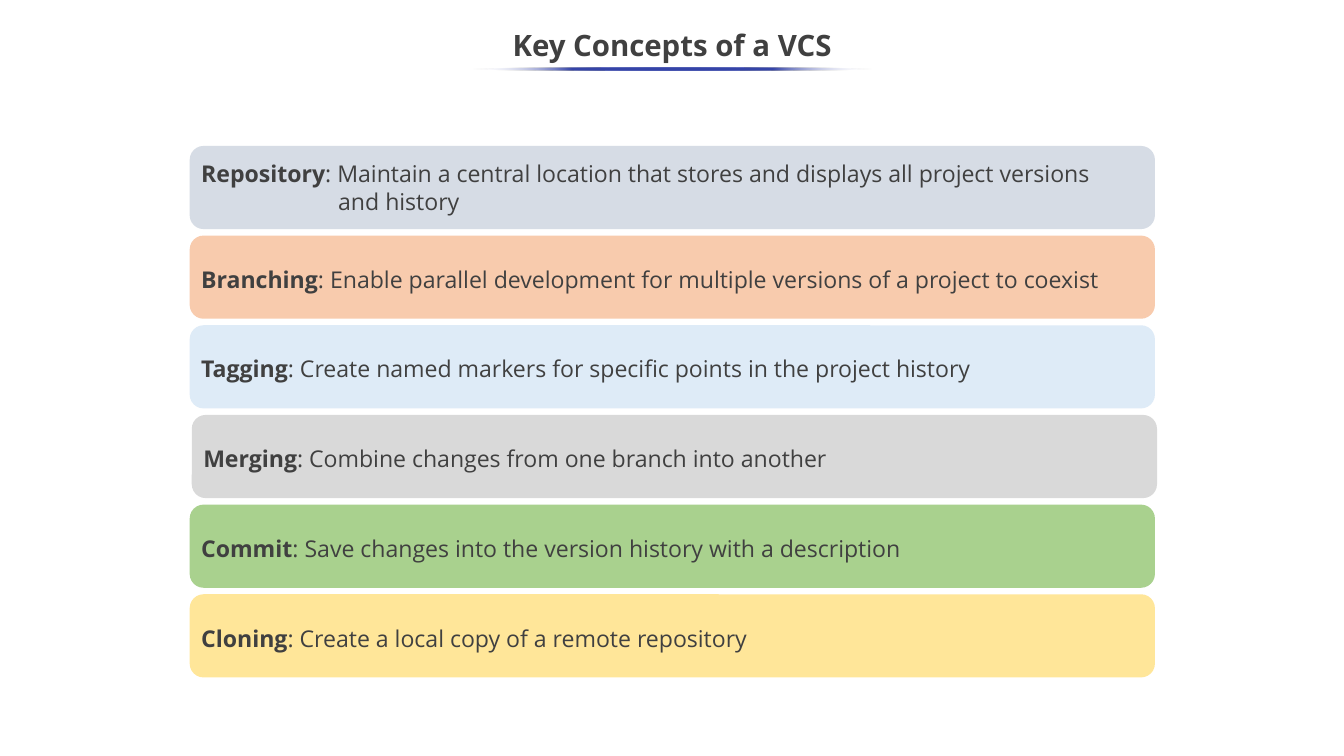
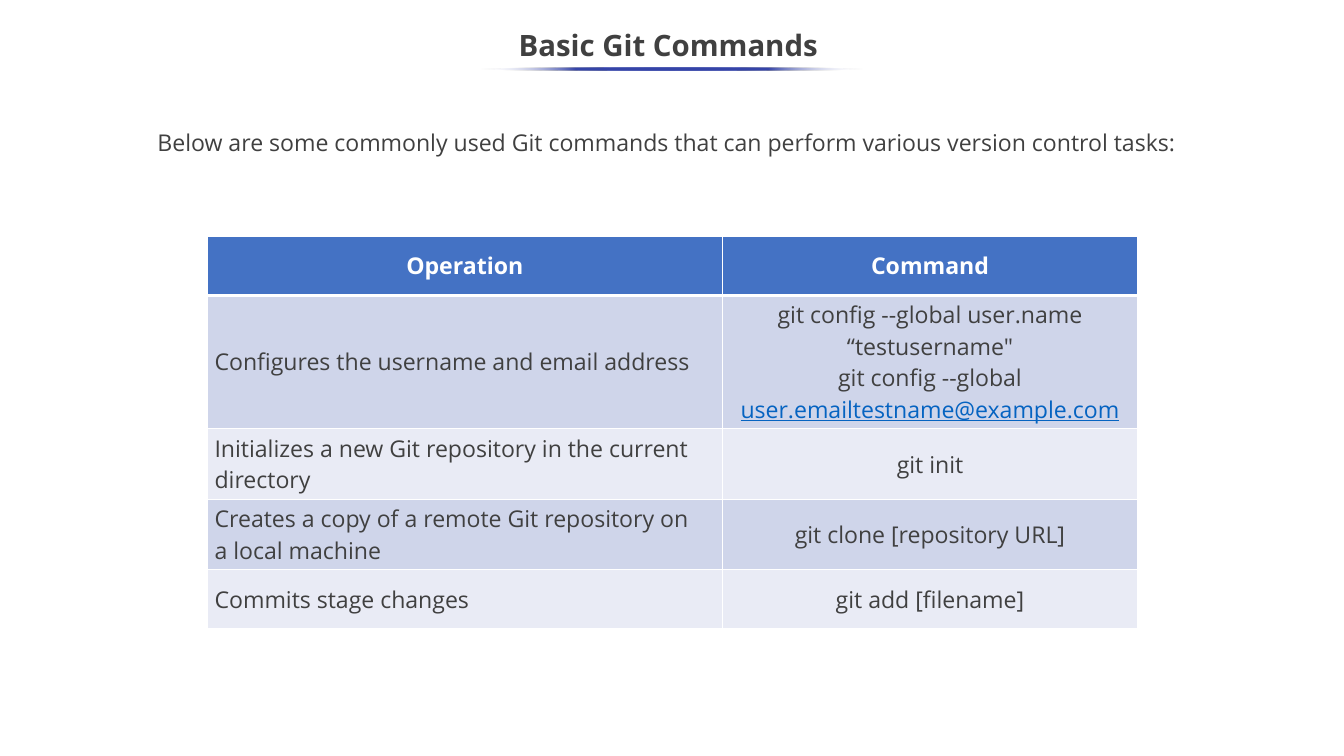
from pptx import Presentation
from pptx import util as u
from pptx.dml.color import RGBColor
from pptx.enum import shapes, text
from pptx.oxml import parse_xml
from pptx.oxml.ns import nsdecls

Pt = u.Pt
FONT = "Open Sans"
INK = RGBColor(0x40, 0x40, 0x40)
WHITE = RGBColor(0xFF, 0xFF, 0xFF)
INDIGO = RGBColor(0x36, 0x45, 0xA9)
HEADER_BLUE = RGBColor(0x44, 0x72, 0xC4)
BAND_DARK = RGBColor(0xCF, 0xD5, 0xEA)
BAND_LIGHT = RGBColor(0xE9, 0xEB, 0xF5)
LINK_BLUE = RGBColor(0x05, 0x63, 0xC1)
SLATE = RGBColor(0xD6, 0xDC, 0xE5)
PEACH = RGBColor(0xF8, 0xCB, 0xAD)
SKY = RGBColor(0xDE, 0xEB, 0xF7)
GREY = RGBColor(0xD9, 0xD9, 0xD9)
GREEN = RGBColor(0xA9, 0xD1, 0x8E)
YELLOW = RGBColor(0xFF, 0xE6, 0x99)

PAGE_WIDTH, PAGE_HEIGHT = 1280.16, 720
LEFT, CENTER = text.PP_ALIGN.LEFT, text.PP_ALIGN.CENTER
MIDDLE, TOP = text.MSO_ANCHOR.MIDDLE, text.MSO_ANCHOR.TOP

CONCEPTS = [
    ("Repository", "Maintain a central location that stores and displays all project versions", SLATE),
    ("Branching", "Enable parallel development for multiple versions of a project to coexist", PEACH),
    ("Tagging", "Create named markers for specific points in the project history", SKY),
    ("Merging", "Combine changes from one branch into another", GREY),
    ("Commit", "Save changes into the version history with a description", GREEN),
    ("Cloning", "Create a local copy of a remote repository", YELLOW),
]
BAR_LEFT, BAR_TOP, BAR_WIDTH, BAR_HEIGHT, BAR_PITCH = 180.7, 139, 919.4, 79.2, 85.4
MERGING_SHIFT = 2
SECOND_LINE_INDENT = 130.5

COMMANDS = [
    (["Configures the username and email address"],
     ["git config --global user.name “testusername\"",
      [("git config --global ", {}),
       ("user.emailtestname@example.com", {"color": LINK_BLUE, "underline": True})]]),
    (["Initializes a new Git repository in the current directory"], ["git init"]),
    (["Creates a copy of a remote Git repository on", "a local machine"],
     ["git clone [repository URL]"]),
    (["Commits stage changes"], ["git add [filename]"]),
]
COLUMN_WIDTHS = [491, 395.3]
ROW_HEIGHTS = [56.2, 127.2, 67.2, 67.2, 56.2]


def write_text(frame, paragraphs, size=22, color=INK, bold=False, align=LEFT, spacing=1.0):
    for index, content in enumerate(paragraphs):
        para = frame.add_paragraph() if index else frame.paragraphs[0]
        para.alignment = align
        para.line_spacing = spacing
        spans = [(content, {})] if isinstance(content, str) else content
        for words, changes in spans:
            span = para.add_run()
            span.text = words
            font = span.font
            font.name, font.size = FONT, Pt(size)
            font.bold = changes.get("bold", bold)
            font.underline = changes.get("underline", False)
            font.color.rgb = changes.get("color", color)


def add_text(page, place, paragraphs, anchor=TOP, inset=0, **style):
    box = page.shapes.add_textbox(*map(Pt, place))
    frame = box.text_frame
    frame.word_wrap = True
    frame.vertical_anchor = anchor
    frame.margin_top = frame.margin_bottom = Pt(inset)
    write_text(frame, paragraphs, **style)


def add_preset(page, preset, place):
    shape = page.shapes.add_shape(preset, *map(Pt, place))
    shape.shadow.inherit = False
    shape.line.fill.background()
    return shape


def add_underline(page, width):
    place = ((PAGE_WIDTH - width) / 2, 64.3, width, 2.9)
    line = add_preset(page, shapes.MSO_SHAPE.OVAL, place)
    stops = [(0, WHITE, 0), (25, INDIGO, 100), (50, INDIGO, 100), (75, INDIGO, 100), (100, WHITE, 0)]
    stop_xml = "".join(
        f'<a:gs pos="{position * 1000}"><a:srgbClr val="{color}">'
        f'<a:alpha val="{opacity * 1000}"/></a:srgbClr></a:gs>'
        for position, color, opacity in stops)
    gradient = parse_xml(
        f'<a:gradFill {nsdecls("a")} rotWithShape="1"><a:gsLst>{stop_xml}</a:gsLst>'
        '<a:lin ang="10800000" scaled="0"/></a:gradFill>')
    line.fill.background()
    properties = line.element.spPr
    properties.replace(properties.find("{*}noFill"), gradient)


def add_titled_page(deck, title, underline_width):
    page = deck.slides.add_slide(deck.slide_layouts[6])
    add_text(page, (0, 18, PAGE_WIDTH, 54), [title], anchor=MIDDLE, inset=3.6,
             size=28, bold=True, align=CENTER, spacing=0.9)
    add_underline(page, underline_width)
    return page


def add_bar(page, left, top, color, paragraphs, spacing):
    bar = add_preset(page, shapes.MSO_SHAPE.ROUNDED_RECTANGLE, (left, top, BAR_WIDTH, BAR_HEIGHT))
    bar.fill.solid()
    bar.fill.fore_color.rgb = color
    frame = bar.text_frame
    frame.word_wrap = True
    frame.vertical_anchor = MIDDLE
    write_text(frame, paragraphs, spacing=spacing)
    return bar


def set_borders(cell, widths):
    properties = cell._tc.get_or_add_tcPr()
    for index, (side, width) in enumerate(zip("LRTB", widths)):
        properties.insert(index, parse_xml(
            f'<a:ln{side} {nsdecls("a")} w="{Pt(width)}"><a:solidFill>'
            f'<a:srgbClr val="{WHITE}"/></a:solidFill></a:ln{side}>'))


def fill_cell(cell, paragraphs, background, borders, **style):
    cell.fill.solid()
    cell.fill.fore_color.rgb = background
    cell.vertical_anchor = MIDDLE
    set_borders(cell, borders)
    write_text(cell.text_frame, paragraphs, **style)


def add_command_table(page):
    frame = page.shapes.add_table(len(ROW_HEIGHTS), len(COLUMN_WIDTHS), Pt(197.2), Pt(225),
                                  Pt(sum(COLUMN_WIDTHS)), Pt(sum(ROW_HEIGHTS)))
    table = frame.table
    for column, width in zip(table.columns, COLUMN_WIDTHS):
        column.width = Pt(width)
    for row, height in zip(table.rows, ROW_HEIGHTS):
        row.height = Pt(height)
    for column, heading in enumerate(["Operation", "Command"]):
        fill_cell(table.cell(0, column), [heading], HEADER_BLUE, (1, 1, 1, 3),
                  color=WHITE, bold=True, align=CENTER)
    for row, entry in enumerate(COMMANDS, 1):
        background = BAND_DARK if row % 2 else BAND_LIGHT
        borders = (1, 1, 3 if row == 1 else 1, 1)
        for column, paragraphs in enumerate(entry):
            fill_cell(table.cell(row, column), paragraphs, background, borders,
                      align=CENTER if column else LEFT)


def build_concepts(deck):
    page = add_titled_page(deck, "Key Concepts of a VCS", 380.9)
    for index, (term, meaning, color) in enumerate(CONCEPTS):
        paragraphs = [[(term, {"bold": True}), (f": {meaning}", {})]]
        has_second_line = term == "Repository"
        if has_second_line:
            paragraphs.append("and history")
        left = BAR_LEFT + (MERGING_SHIFT if term == "Merging" else 0)
        bar = add_bar(page, left, BAR_TOP + index * BAR_PITCH, color, paragraphs,
                      1.0 if has_second_line else 1.14)
        if has_second_line:
            second_line = bar.text_frame.paragraphs[1]
            second_line._p.get_or_add_pPr().set("marL", str(Pt(SECOND_LINE_INDENT)))


def build_commands(deck):
    page = add_titled_page(deck, "Basic Git Commands ", 365)
    add_text(page, (95.5, 118.8, 1078.6, 71.3),
             ["Below are some commonly used Git commands that can perform various version control tasks:"],
             align=CENTER, spacing=1.15)
    add_command_table(page)


def main():
    deck = Presentation()
    deck.slide_width, deck.slide_height = Pt(PAGE_WIDTH), Pt(PAGE_HEIGHT)
    build_concepts(deck)
    build_commands(deck)
    deck.save("out.pptx")


if __name__ == "__main__":
    main()
